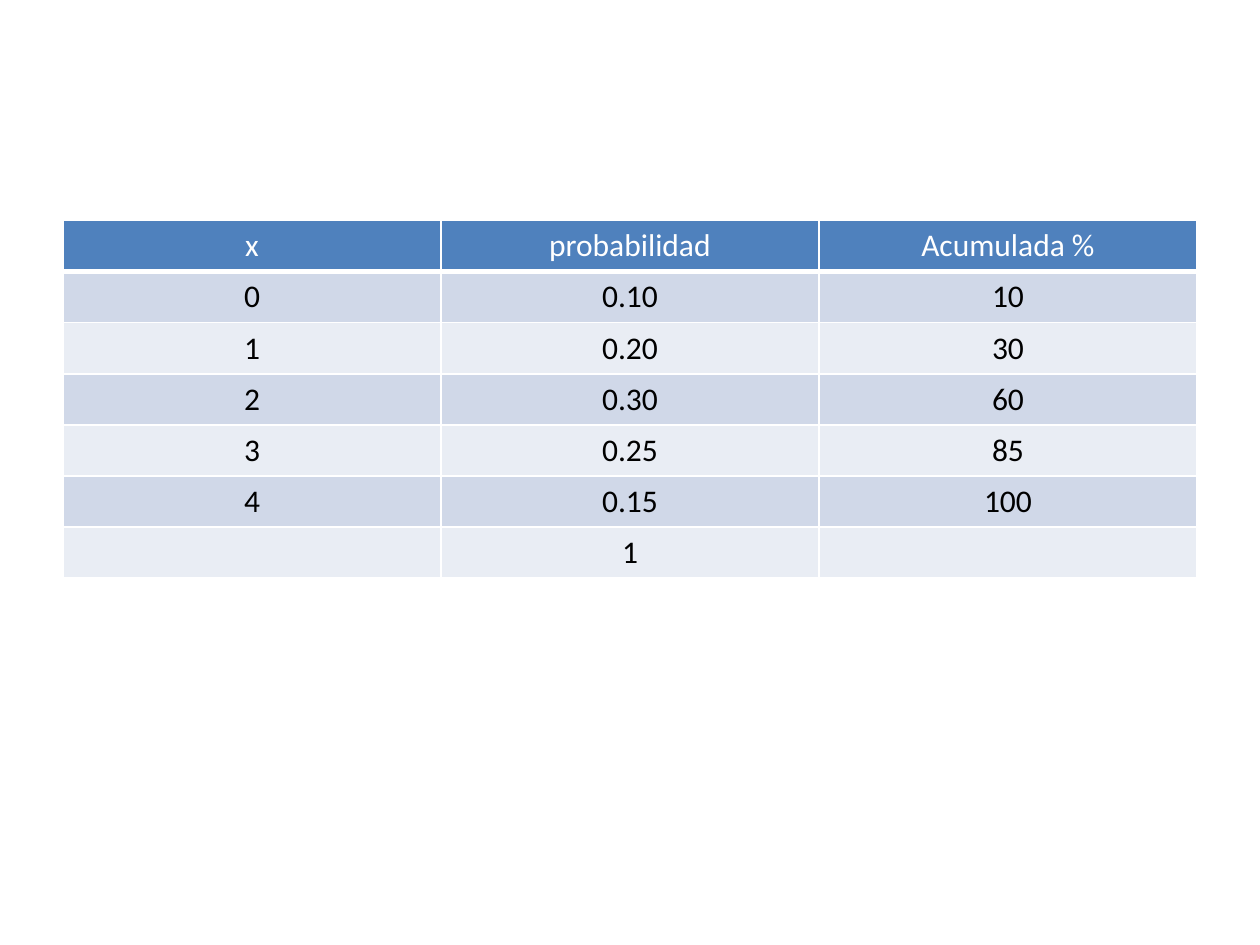
from lxml import etree
from pptx import Presentation
from pptx.dml.color import RGBColor
from pptx.enum.text import PP_ALIGN
from pptx.oxml.ns import qn
from pptx.util import Inches, Pt

CENTER = PP_ALIGN.CENTER
FONT = "Calibri"
COLORS = {
    "header": "4F81BD",
    "band_dark": "D0D8E8",
    "band_light": "E9EDF4",
    "border": "FFFFFF",
    "header_text": "FFFFFF",
    "body_text": "000000",
}
ROWS = [
    ("x", "probabilidad", "Acumulada %"),
    ("0", "0.10", "10"),
    ("1", "0.20", "30"),
    ("2", "0.30", "60"),
    ("3", "0.25", "85"),
    ("4", "0.15", "100"),
    ("", "1", ""),
]


def set_borders(cell, bottom_width):
    properties = cell._tc.get_or_add_tcPr()
    widths = {"lnL": 1, "lnR": 1, "lnT": 1, "lnB": bottom_width}
    for side, width in widths.items():
        line = etree.SubElement(properties, qn(f"a:{side}"), w=str(Pt(width)))
        fill = etree.SubElement(line, qn("a:solidFill"))
        etree.SubElement(fill, qn("a:srgbClr"), val=COLORS["border"])


def format_cell(cell, text, fill, text_color, bottom_width):
    set_borders(cell, bottom_width)
    cell.fill.solid()
    cell.fill.fore_color.rgb = RGBColor.from_string(COLORS[fill])
    cell.text_frame.text = text
    paragraph = cell.text_frame.paragraphs[0]
    paragraph.alignment = CENTER
    for run in paragraph.runs:
        run.font.name = FONT
        run.font.size = Pt(18)
        run.font.bold = False
        run.font.color.rgb = RGBColor.from_string(COLORS[text_color])


def add_probability_table(slide, left, top, width, height):
    shape = slide.shapes.add_table(len(ROWS), len(ROWS[0]), left, top, width, height)
    table = shape.table
    for row_index, values in enumerate(ROWS):
        # Header row, then alternating bands
        if row_index == 0:
            style = ("header", "header_text", 3)
        else:
            band = "band_dark" if row_index % 2 else "band_light"
            style = (band, "body_text", 1)
        for column_index, text in enumerate(values):
            format_cell(table.cell(row_index, column_index), text, *style)


def main():
    presentation = Presentation()
    presentation.slide_width = Inches(10)
    presentation.slide_height = Inches(7.5)
    slide = presentation.slides.add_slide(presentation.slide_layouts[6])
    add_probability_table(slide, Inches(0.5), Inches(1.75), Inches(9), Inches(2.84))
    presentation.save("out.pptx")


if __name__ == "__main__":
    main()
